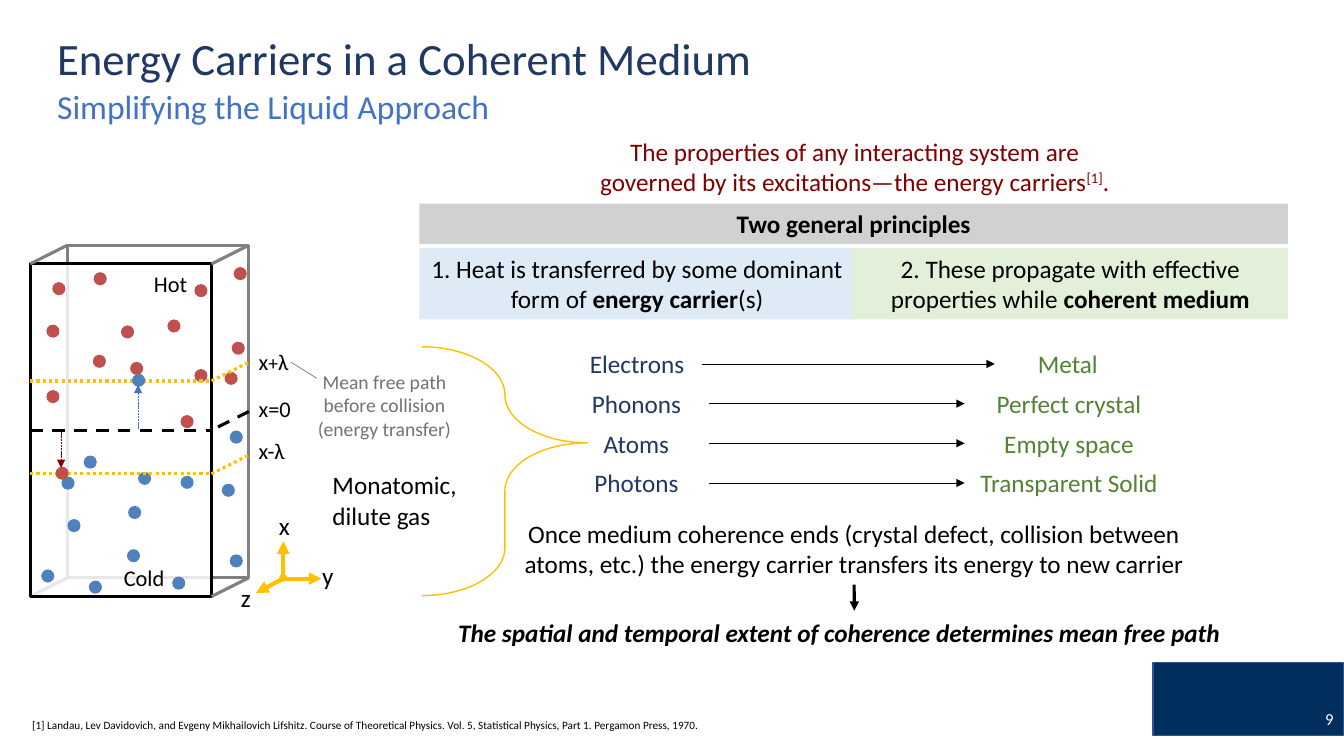
import lxml.etree
import pptx
import pptx.dml.color
import pptx.enum.dml
import pptx.enum.shapes
import pptx.enum.text
import pptx.oxml.ns
import pptx.util

Cm = pptx.util.Cm
SHAPES = pptx.enum.shapes.MSO_SHAPE
DASHES = pptx.enum.dml.MSO_LINE
ALIGN = pptx.enum.text.PP_ALIGN
ANCHOR = pptx.enum.text.MSO_ANCHOR

NAVY, BLUE, GREEN, GOLD = "203864", "4472C4", "548235", "FFC000"
BLACK, GRAY, MAROON, WHITE = "000000", "808080", "7E0000", "FFFFFF"
HOT, COLD = "C0504D", "4F81BD"


def color(hex_code):
    return pptx.dml.color.RGBColor.from_string(hex_code)


def add_xml(parent, tag, **attributes):
    return lxml.etree.SubElement(parent, pptx.oxml.ns.qn(tag), **attributes)


def write(shape, text, size=18, ink=BLACK, align=ALIGN.LEFT, anchor=ANCHOR.TOP,
          bold=False, italic=False, spacing=None):
    """Fill a shape with text: a string, or (text, changes) pairs for mixed runs."""
    frame = shape.text_frame
    frame.word_wrap = True
    frame.vertical_anchor = anchor
    paragraph = frame.paragraphs[0]
    paragraph.alignment = align
    if spacing:
        paragraph.line_spacing = spacing
    for part, changes in [(text, {})] if isinstance(text, str) else text:
        run = paragraph.add_run()
        run.text = part
        run.font.name = "Calibri"
        run.font.size = pptx.util.Pt(changes.get("size", size))
        run.font.bold = changes.get("bold", bold)
        run.font.italic = italic
        run.font.color.rgb = color(ink)
        if "baseline" in changes:
            run.font._element.set("baseline", changes["baseline"])


class SlideBuilder:
    def __init__(self, slide):
        self.slide = slide

    def text(self, box, text, **text_format):
        shape = self.slide.shapes.add_textbox(*map(Cm, box))
        write(shape, text, **text_format)
        return shape

    def shape(self, kind, box, fill=None, alpha=None, line=None, weight=1, adjustments=()):
        shape = self.slide.shapes.add_shape(kind, *map(Cm, box))
        shape.shadow.inherit = False
        for index, value in enumerate(adjustments):
            shape.adjustments[index] = value
        if fill:
            shape.fill.solid()
            shape.fill.fore_color.rgb = color(fill)
            if alpha:
                fill_color = shape.fill._xPr.find(".//" + pptx.oxml.ns.qn("a:srgbClr"))
                add_xml(fill_color, "a:alpha", val=str(alpha * 1000))
        else:
            shape.fill.background()
        if line:
            shape.line.color.rgb = color(line)
            shape.line.width = pptx.util.Pt(weight)
        else:
            shape.line.fill.background()
        return shape

    def panel(self, box, text, fill, alpha=None, **text_format):
        panel = self.shape(SHAPES.RECTANGLE, box, fill, alpha)
        write(panel, text, align=ALIGN.CENTER, **text_format)

    def dots(self, corners, fill, size=0.33):
        for left, top in corners:
            self.shape(SHAPES.OVAL, (left, top, size, size), fill)

    def line(self, start, end, ink=BLACK, weight=2.25, dash=None, arrow=False):
        """Each end is an (x, y) point or a (shape, connection site) pair."""
        joined = [not isinstance(tip[0], (int, float)) for tip in (start, end)]
        points = [(0, 0) if join else tip for tip, join in zip((start, end), joined)]
        connector = self.slide.shapes.add_connector(
            pptx.enum.shapes.MSO_CONNECTOR.STRAIGHT, *(Cm(v) for point in points for v in point))
        if joined[0]:
            connector.begin_connect(*start)
        if joined[1]:
            connector.end_connect(*end)
        connector.line.color.rgb = color(ink)
        connector.line.width = pptx.util.Pt(weight)
        if dash:
            connector.line.dash_style = dash
        if arrow:
            add_xml(connector.get_or_add_ln(), "a:tailEnd", type="triangle")
        add_xml(connector._element.spPr, "a:effectLst")


def draw_headings(builder):
    builder.shape(SHAPES.RECTANGLE, (29.06, 16.69, 4.8, 1.85), "002E5D", line="325491")
    builder.text((1.19, 0.76, 23.55, 1.57), "Energy Carriers in a Coherent Medium",
                 size=32, ink=NAVY, anchor=ANCHOR.MIDDLE, spacing=0.9)
    builder.text((1.19, 1.98, 15.21, 1.5), "Simplifying the Liquid Approach",
                 size=24, ink=BLUE, anchor=ANCHOR.MIDDLE, spacing=0.9)
    builder.text((0.56, 17.96, 25.86, 0.61),
                 "[1] Landau, Lev Davidovich, and Evgeny Mikhailovich Lifshitz. Course of Theoretical "
                 "Physics. Vol. 5, Statistical Physics, Part 1. Pergamon Press, 1970.",
                 size=8, anchor=ANCHOR.BOTTOM)
    builder.text((26.24, 17.6, 7.62, 1.02), "9", size=12, ink=WHITE,
                 align=ALIGN.RIGHT, anchor=ANCHOR.MIDDLE)


def draw_principles(builder):
    builder.text((14.69, 3.3, 13.7, 1.8),
                 [("The properties of any interacting system are governed by its "
                   "excitations—the energy carriers", {}),
                  ("[1]", {"baseline": "30000"}), (".", {})], ink=MAROON, align=ALIGN.CENTER)
    builder.panel((10.57, 6.25, 10.97, 1.8),
                  [("1. Heat is transferred by some dominant form of ", {}),
                   ("energy carrier", {"bold": True}), ("(s)", {})], "DEEBF7")
    builder.panel((21.49, 6.25, 10.97, 1.8),
                  [("2. These propagate with effective properties while ", {}),
                   ("coherent medium", {"bold": True})], "E2F0D9")
    builder.panel((10.57, 5.13, 21.89, 1.02), "Two general principles", "A5A5A5", 50, bold=True)


def draw_carriers(builder):
    pairs = [("Electrons", "Metal"), ("Phonons", "Perfect crystal"),
             ("Atoms", "Empty space"), ("Photons", "Transparent Solid")]
    for row, (carrier, medium) in enumerate(pairs):
        top = 8.66 + row
        carrier_left, carrier_width = (14.2, 3.68) if row else (14.43, 3.25)
        medium_left, medium_width = (24.31, 5.26) if row else (25.07, 3.68)
        source = builder.text((carrier_left, top, carrier_width, 1.02), carrier,
                              ink=NAVY, align=ALIGN.CENTER)
        target = builder.text((medium_left, top, medium_width, 1.02), medium,
                              ink=GREEN, align=ALIGN.CENTER)
        builder.line((source, 3), (target, 1), weight=0.5, arrow=True)


def draw_gas_box(builder):
    left, right, top, bottom = 0.76, 5.33, 6.65, 15.03
    depth_x, depth_y = 0.94, -0.47
    width, height = right - left, bottom - top

    def depth_edge(x, y, ink=GRAY, dash=None):
        builder.line((x, y), (x + depth_x, y + depth_y), ink, dash=dash)

    depth_edge(left, bottom)
    back = builder.shape(SHAPES.RECTANGLE, (left + depth_x, top + depth_y, width, height),
                         line=GRAY, weight=2.25)
    front = builder.shape(SHAPES.RECTANGLE, (left, top, width, height), WHITE, 82,
                          line=BLACK, weight=2.25)
    builder.dots([(1.32, 7.11), (3.05, 8.2), (1.17, 8.18), (2.36, 6.86), (4.9, 7.16),
                  (4.22, 8.05), (4.9, 9.3), (2.34, 8.94), (1.17, 9.83), (3.28, 9.12),
                  (4.55, 10.46)], HOT)
    builder.dots([(3.48, 11.89), (3.23, 12.75), (4.55, 11.99), (4.34, 14.53), (3.2, 13.84),
                  (2.24, 14.63), (2.11, 11.48), (1.7, 13.08), (1.04, 14.35), (1.55, 12.01)], COLD)
    builder.line((front, 1), (front, 3), dash=DASHES.DASH)
    for x, y in [(right, bottom), (right, top), (left, top)]:
        depth_edge(x, y)
    builder.line((back, 3), (front, 3), dash=DASHES.DASH)
    builder.dots([(5.89, 6.73), (5.84, 8.61), (5.66, 9.37)], HOT)
    builder.dots([(5.79, 13.97), (5.59, 12.19), (5.79, 10.85)], COLD)
    for plane in (9.6, 11.94):
        builder.line((left, plane), (right, plane), GOLD, dash=DASHES.ROUND_DOT)
        depth_edge(right, plane, GOLD, DASHES.ROUND_DOT)
    builder.dots([(3.33, 9.42)], COLD)
    builder.dots([(1.4, 11.76)], HOT)
    builder.line((3.48, 10.82), (3.48, 9.7), BLUE, 0.5, DASHES.SQUARE_DOT, True)
    builder.line((1.54, 10.85), (1.54, 11.79), MAROON, 0.5, DASHES.SQUARE_DOT, True)

    plus_label = [("x", {}), ("+", {"size": 14}), ("λ", {})]
    for label, x, y, label_width in [("Hot", 3.63, 6.68, 1.63), ("Cold", 2.87, 14.1, 1.93),
                                     (plus_label, 6.27, 8.66, 1.52), ("x=0", 6.27, 9.83, 1.52),
                                     ("x-λ", 6.27, 10.9, 1.52)]:
        builder.text((x, y, label_width, 0.94), label, size=16)


def draw_axes(builder):
    origin = (7.14, 14.58)
    for tip, name, corner in [((7.14, 13.64), "x", (6.78, 12.73)),
                              ((8.1, 14.58), "y", (7.87, 14.0)),
                              ((6.45, 14.94), "z", (5.82, 14.55))]:
        builder.line(origin, tip, GOLD, 3, arrow=True)
        builder.text((*corner, 0.89, 1.02), name)
    builder.dots([(7.04, 14.46)], GOLD, 0.2)


def draw_conclusions(builder):
    builder.text((8.13, 11.71, 4.98, 1.8), "Monatomic, dilute gas")
    builder.text((7.72, 9.19, 3.94, 2.06), "Mean free path before collision (energy transfer)",
                 size=14, ink="767171", align=ALIGN.CENTER)
    builder.line((7.32, 9.12), (7.98, 9.53), "7C7C7C", 0.5)
    builder.shape(SHAPES.RIGHT_BRACE, (10.64, 8.74, 4.17, 6.27), line=GOLD,
                  adjustments=(0.457, 0.386))
    coherence_end = builder.text(
        (12.75, 12.93, 17.55, 1.8),
        "Once medium coherence ends (crystal defect, collision between atoms, etc.) "
        "the energy carrier transfers its energy to new carrier", align=ALIGN.CENTER)
    builder.text((10.85, 15.42, 20.6, 1.02),
                 "The spatial and temporal extent of coherence determines mean free path",
                 align=ALIGN.CENTER, bold=True, italic=True)
    builder.line((coherence_end, 2), (21.53, 15.39), arrow=True)


def main():
    presentation = pptx.Presentation()
    presentation.slide_width, presentation.slide_height = Cm(33.87), Cm(19.05)
    builder = SlideBuilder(presentation.slides.add_slide(presentation.slide_layouts[6]))
    for draw in (draw_headings, draw_principles, draw_carriers, draw_gas_box,
                 draw_axes, draw_conclusions):
        draw(builder)
    presentation.save("out.pptx")


if __name__ == "__main__":
    main()
